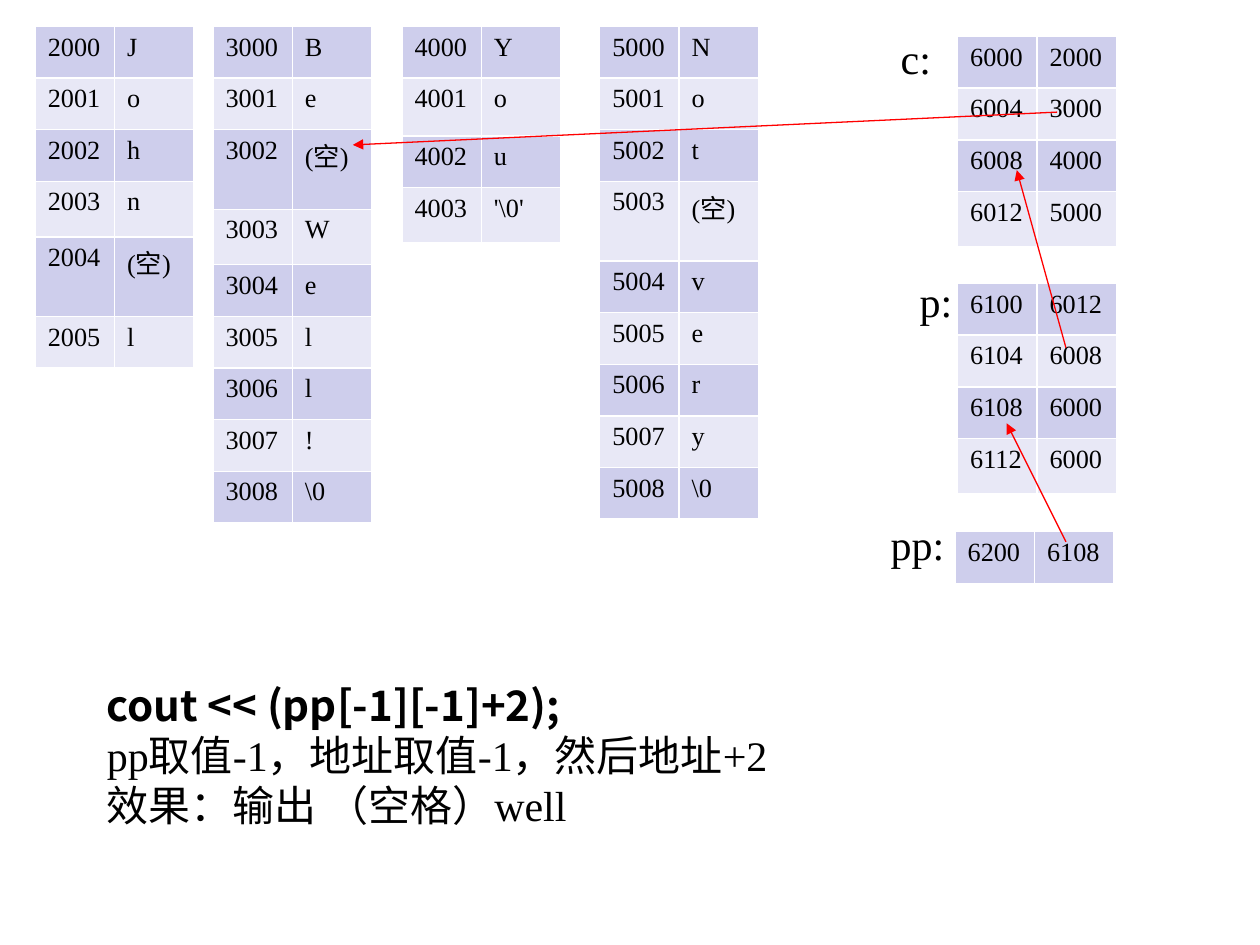
from lxml import etree
from pptx import Presentation
from pptx.dml.color import RGBColor
from pptx.enum.shapes import MSO_CONNECTOR
from pptx.oxml.ns import qn
from pptx.util import Inches, Pt

LINE = MSO_CONNECTOR.STRAIGHT
BLACK = RGBColor(0, 0, 0)
RED = RGBColor(0xFF, 0, 0)
BANDS = RGBColor(0xCE, 0xCE, 0xEC), RGBColor(0xE8, 0xE8, 0xF6)
SERIF, SANS = "Times New Roman", "Noto Sans CJK SC"
COL, ROW, TALL = 0.63, 0.41, 0.44

GAP = "(空)"
# left, top, first address, address step, values, heights of special rows
TABLES = [
    (0.28, 0.21, 2000, 1, ["J", "o", "h", "n", GAP, "l"], {3: TALL}),
    (1.69, 0.21, 3000, 1, ["B", "e", GAP, *"Well!", "\\0"], {3: TALL}),
    (3.19, 0.21, 4000, 1, ["Y", "o", "u", "'\\0'"], {1: 0.46, 3: TALL}),
    (4.76, 0.21, 5000, 1, ["N", "o", "t", GAP, *"very", "\\0"], {3: TALL}),
    (7.6, 0.29, 6000, 4, ["2000", "3000", "4000", "5000"], {3: TALL}),
    (7.6, 2.25, 6100, 4, ["6012", "6008", "6000", "6000"], {3: TALL}),
    (7.58, 4.22, 6200, 4, ["6108"], {}),
]
# left, top, width, height, wrap, lines of (text, font, bold)
TEXTS = [
    (7.05, 0.21, 0.44, 0.5, False, [("c:", SERIF, False)]),
    (7.2, 2.14, 0.46, 0.5, False, [("p:", SERIF, False)]),
    (6.97, 4.07, 0.63, 0.5, False, [("pp:", SERIF, False)]),
    (0.75, 5.34, 5.5, 1.31, True, [
        ("cout << (pp[-1][-1]+2);", SANS, True),
        ("pp取值-1，地址取值-1，然后地址+2", SERIF, False),
        ("效果：输出 （空格）well", SERIF, False),
    ]),
]
ARROWS = [
    (8.46, 4.3, 7.99, 3.36),
    (8.46, 2.76, 8.07, 1.35),
    (8.39, 0.89, 2.8, 1.15),
]


def style(para, size, face=SERIF, bold=False):
    """Format every run of a paragraph."""
    for run in para.runs:
        font = run.font
        font.size, font.name, font.bold = Pt(size), face, bold
        font.color.rgb = BLACK
        east = etree.SubElement(run._r.get_or_add_rPr(), qn("a:ea"))
        east.set("typeface", SANS)


def edge(cell):
    """Give a cell thin white borders."""
    props = cell._tc.get_or_add_tcPr()
    for spot, side in enumerate("LRTB"):
        line = etree.Element(qn("a:ln" + side), w=str(Pt(1)))
        fill = etree.SubElement(line, qn("a:solidFill"))
        etree.SubElement(fill, qn("a:srgbClr"), val="FFFFFF")
        props.insert(spot, line)


def add_grid(slide, left, top, first, step, values, heights):
    """Draw a table of addresses and their values."""
    sizes = [heights.get(i, ROW) for i in range(len(values))]
    grid = slide.shapes.add_table(
        len(values), 2, Inches(left), Inches(top),
        Inches(2 * COL), Inches(sum(sizes))).table
    grid.first_row = grid.horz_banding = False
    for col in grid.columns:
        col.width = Inches(COL)
    for i, value in enumerate(values):
        grid.rows[i].height = Inches(sizes[i])
        for j, text in enumerate((str(first + i * step), value)):
            cell = grid.cell(i, j)
            cell.text_frame.text = text
            style(cell.text_frame.paragraphs[0], 15)
            cell.fill.solid()
            cell.fill.fore_color.rgb = BANDS[i % 2]
            edge(cell)


def add_text(slide, left, top, width, height, wrap, lines):
    """Place a text box with one paragraph per line."""
    box = slide.shapes.add_textbox(*map(Inches, (left, top, width, height)))
    frame = box.text_frame
    frame.word_wrap = wrap
    frame.text = "\n".join(text for text, _, _ in lines)
    for para, (_, face, bold) in zip(frame.paragraphs, lines):
        style(para, 24, face, bold)


def add_arrow(slide, *ends):
    """Draw a red pointer arrow."""
    link = slide.shapes.add_connector(LINE, *map(Inches, ends))
    link.line.color.rgb = RED
    link.line.width = Pt(0.75)
    etree.SubElement(link.line._get_or_add_ln(), qn("a:tailEnd"),
                     type="triangle")
    etree.SubElement(link._element.spPr, qn("a:effectLst"))


deck = Presentation()
deck.slide_width, deck.slide_height = Inches(10), Inches(7.5)
slide = deck.slides.add_slide(deck.slide_layouts[6])
for draw, items in ((add_grid, TABLES), (add_text, TEXTS),
                    (add_arrow, ARROWS)):
    for item in items:
        draw(slide, *item)
deck.save("out.pptx")
